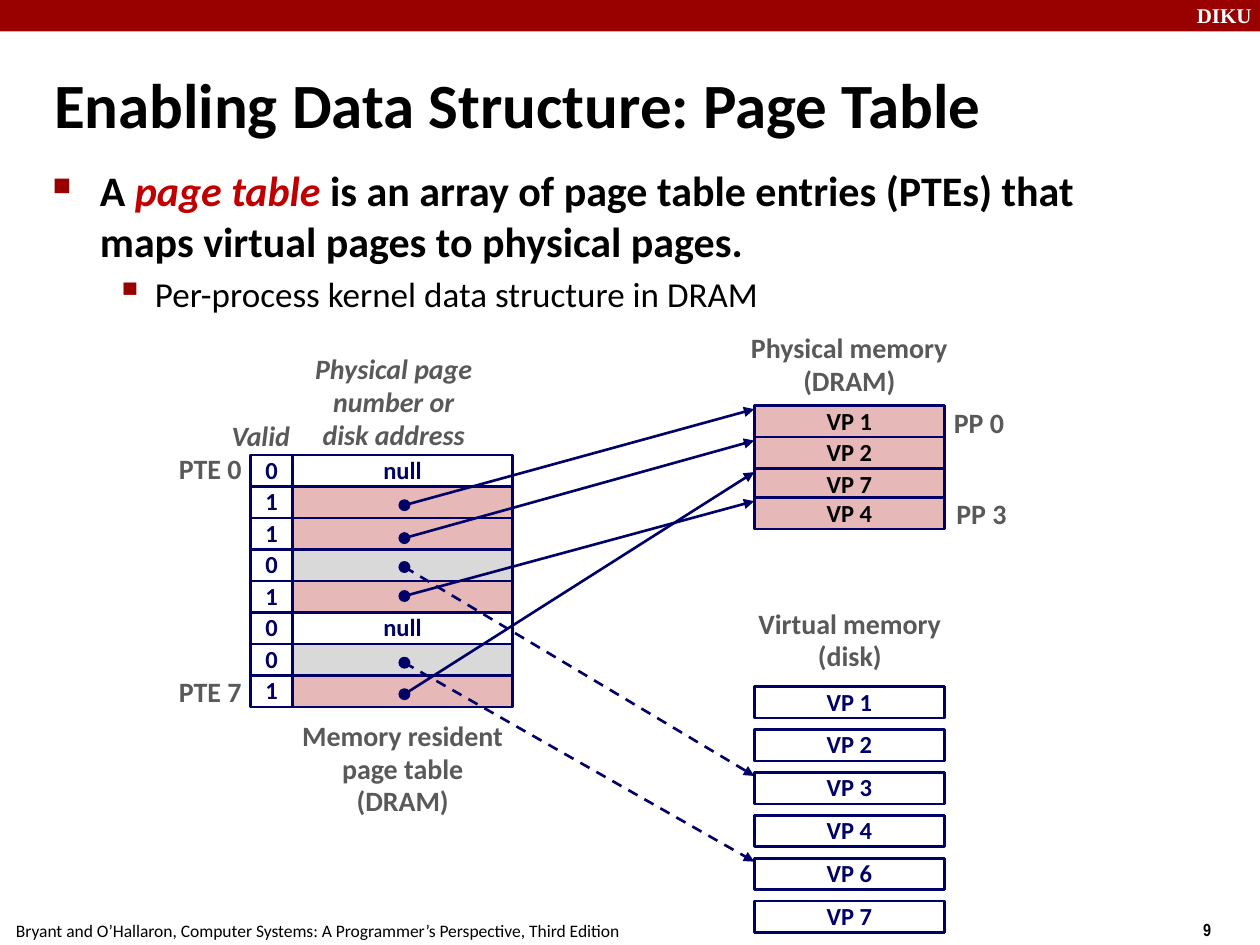
from lxml.etree import SubElement
from pptx import Presentation
from pptx.dml.color import RGBColor
from pptx.enum.dml import MSO_LINE
from pptx.enum.shapes import MSO_CONNECTOR, MSO_SHAPE
from pptx.enum.text import MSO_ANCHOR, PP_ALIGN
from pptx.oxml.ns import qn
from pptx.util import Pt

COLORS = {
    "bar": "990000", "accent": "C00000", "navy": "000066", "gray": "595959",
    "black": "000000", "white": "FFFFFF", "cached": "E6B9B8", "on_disk": "D9D9D9",
}
CELL_FONT = {"size": Pt(14), "name": "Calibri", "bold": True}
LABEL_FONT = {"size": Pt(16), "name": "Calibri", "bold": True}
FOOTER_FONT = {"size": Pt(10), "name": "Calibri"}

ROW_H = 18
TABLE_TOP = 260
VALID_X, VALID_W = 143.3, 23.8
ENTRY_X, ENTRY_W = 167, 126
DOT_X, DOT = 228.2, 5.8
MEMORY_X, MEMORY_W = 431, 108.7

ENTRIES = [
    ("0", None, None), ("1", 285.8, "VP 1"), ("1", 304.6, "VP 2"), ("0", 321.1, "VP 3"),
    ("1", 337.7, "VP 4"), ("0", None, None), ("0", 375.8, "VP 6"), ("1", 393.8, "VP 7"),
]
FRAMES = {"VP 7": 267.8, "VP 4": 284.4, "VP 2": 249.8, "VP 1": 231.8}
DISK_PAGES = {f"VP {n}": 392.4 + 24.5 * i for i, n in enumerate((1, 2, 3, 4, 6, 7))}

LABELS = [
    ("Memory resident\npage table\n(DRAM)", 165.6, 407.5, 129, 64, "CENTER", False),
    ("Physical memory\n(DRAM)", 422, 185.8, 126.7, 45.4, "CENTER", False),
    ("Virtual memory\n(disk)", 426.2, 343.4, 118.8, 45.4, "CENTER", False),
    ("Physical page\nnumber or\ndisk address", 172.8, 198, 104.4, 64, "CENTER", True),
    ("Valid", 125.3, 236.2, 54, 26.6, "LEFT", True),
    ("PTE 0", 90.2, 254.9, 55, 26.6, "RIGHT", False),
    ("PTE 7", 90.2, 382.3, 55, 26.6, "RIGHT", False),
    ("PP 0", 537.8, 229, 43.2, 26.6, "CENTER", False),
    ("PP 3", 539.3, 280.8, 43.2, 26.6, "CENTER", False),
]


def rgb(name):
    """Return the named colour."""
    return RGBColor.from_string(COLORS[name])


def set_font(font, values, color):
    """Apply format values and a colour to a font."""
    for key, value in values.items():
        setattr(font, key, value)
    font.color.rgb = rgb(color)


def add_run(p, text, values, color):
    """Append a formatted run to a paragraph."""
    r = p.add_run()
    r.text = text
    set_font(r.font, values, color)


def set_text(s, text, values, color, align=PP_ALIGN.CENTER, wrap=False, spacing=None):
    """Fill a shape with one paragraph per line of text."""
    tf = s.text_frame
    tf.word_wrap = wrap
    tf.vertical_anchor = MSO_ANCHOR.MIDDLE
    for i, line in enumerate(text.split("\n")):
        p = tf.add_paragraph() if i else tf.paragraphs[0]
        p.alignment = align
        if spacing:
            p.line_spacing = spacing
        add_run(p, line, values, color)


def add_text(sp, box, text, values, color, **layout):
    """Add a text box."""
    s = sp.add_textbox(*map(Pt, box))
    set_text(s, text, values, color, **layout)
    return s


def add_block(sp, box, fill=None, line="navy", width=1.5, kind=MSO_SHAPE.RECTANGLE):
    """Add a flat preset shape."""
    s = sp.add_shape(kind, *map(Pt, box))
    s.shadow.inherit = False
    if fill:
        s.fill.solid()
        s.fill.fore_color.rgb = rgb(fill)
    else:
        s.fill.background()
    if line:
        s.line.color.rgb = rgb(line)
        s.line.width = Pt(width)
    else:
        s.line.fill.background()
    return s


def add_cell(sp, box, text, fill=None, color="navy"):
    """Add an outlined rectangle with centred text."""
    s = add_block(sp, box, fill)
    if text:
        set_text(s, text, CELL_FONT, color, spacing=0.98)


def add_arrow(sp, start, end, dashed):
    """Add a straight pointer with a triangular head."""
    s = sp.add_connector(MSO_CONNECTOR.STRAIGHT, *map(Pt, start + end))
    s.line.color.rgb = rgb("navy")
    s.line.width = Pt(1.5)
    if dashed:
        s.line.dash_style = MSO_LINE.DASH
    SubElement(s.line._get_or_add_ln(), qn("a:tailEnd"), type="triangle")
    SubElement(s._element.spPr, qn("a:effectLst"))


def set_indent(p, left, hanging):
    """Set the left margin and hanging indent and return the properties."""
    pPr = p._p.get_or_add_pPr()
    pPr.set("marL", str(Pt(left)))
    pPr.set("indent", str(-Pt(hanging)))
    return pPr


def add_bullet(p, char, percent, left, hanging):
    """Give a paragraph a red bullet."""
    pPr = set_indent(p, left, hanging)
    SubElement(SubElement(pPr, qn("a:buClr")), qn("a:srgbClr"), val=COLORS["bar"])
    SubElement(pPr, qn("a:buSzPct"), val=str(percent * 1000))
    SubElement(pPr, qn("a:buChar"), char=char)


def add_header_and_footer(sp):
    """Add the top bar, the source line and the page number."""
    add_block(sp, (0, 0, 720, 18), "bar", None)
    add_text(sp, (676.8, -2, 48, 21.6), "DIKU",
             {"size": Pt(12), "name": "Times New Roman", "bold": True}, "white",
             align=PP_ALIGN.LEFT, wrap=True)
    add_text(sp, (680.4, 520.6, 54, 20.9), "9",
             {"size": Pt(10), "name": "Arial Narrow", "bold": True}, "black", align=PP_ALIGN.LEFT)
    add_text(sp, (2, 522, 359, 19.4),
             "Bryant and O’Hallaron, Computer Systems: A Programmer’s Perspective, Third Edition",
             FOOTER_FONT, "black", align=PP_ALIGN.LEFT)


def add_title_and_body(sp):
    """Add the title and the bulleted text."""
    s = add_text(sp, (23.8, 28, 652, 62), "Enabling Data Structure: Page Table",
                 {"size": Pt(36), "name": "Calibri", "bold": True}, "black",
                 align=PP_ALIGN.LEFT, wrap=True)
    set_indent(s.text_frame.paragraphs[0], 9, 9)
    tf = sp.add_textbox(Pt(23), Pt(90.5), Pt(654), Pt(101.5)).text_frame
    tf.word_wrap = True
    p = tf.paragraphs[0]
    add_bullet(p, "■", 60, 27, 27)
    font = {"size": Pt(24), "name": "Calibri", "bold": True}
    add_run(p, "A ", font, "black")
    add_run(p, "page table ", {**font, "italic": True}, "accent")
    add_run(p, "is an array of page table entries (PTEs) that maps virtual pages "
               "to physical pages.", font, "black")
    p = tf.add_paragraph()
    p.level = 1
    p.space_before = Pt(4)
    add_bullet(p, "▪", 110, 58.5, 22.5)
    add_run(p, "Per-process kernel data structure in DRAM",
            {"size": Pt(20), "name": "Calibri"}, "black")


def add_page_table(sp):
    """Add the valid bits and the page table entries."""
    for i, (valid, dot, page) in enumerate(ENTRIES):
        top = TABLE_TOP + ROW_H * i
        fill = "white" if page is None else "cached" if valid == "1" else "on_disk"
        add_cell(sp, (ENTRY_X, top, ENTRY_W, ROW_H), "" if page else "null", fill)
        add_cell(sp, (VALID_X, top, VALID_W, ROW_H), valid)


def add_memory(sp):
    """Add the physical frames and the pages on disk."""
    for page, top in FRAMES.items():
        add_cell(sp, (MEMORY_X, top, MEMORY_W, ROW_H), page, "cached", "black")
    for page, top in DISK_PAGES.items():
        add_cell(sp, (MEMORY_X, top, MEMORY_W, ROW_H), page, "white")


def add_pointers(sp):
    """Add a dot and an arrow for each entry that refers to a page."""
    for valid, dot, page in ENTRIES:
        if page:
            cached = valid == "1"
            top = (FRAMES if cached else DISK_PAGES)[page]
            add_block(sp, (DOT_X, dot, DOT, DOT), "navy", width=1, kind=MSO_SHAPE.OVAL)
            add_arrow(sp, (DOT_X + DOT / 2, dot + DOT / 2), (MEMORY_X, top + 2), not cached)


def main():
    """Build the slide and save it."""
    prs = Presentation()
    prs.slide_width, prs.slide_height = Pt(720), Pt(540)
    sp = prs.slides.add_slide(prs.slide_layouts[6]).shapes
    add_header_and_footer(sp)
    add_title_and_body(sp)
    add_page_table(sp)
    add_memory(sp)
    add_pointers(sp)
    for text, x, y, w, h, align, italic in LABELS:
        add_text(sp, (x, y, w, h), text, {**LABEL_FONT, "italic": italic}, "gray",
                 align=getattr(PP_ALIGN, align), spacing=0.98)
    prs.save("out.pptx")


if __name__ == "__main__":
    main()
